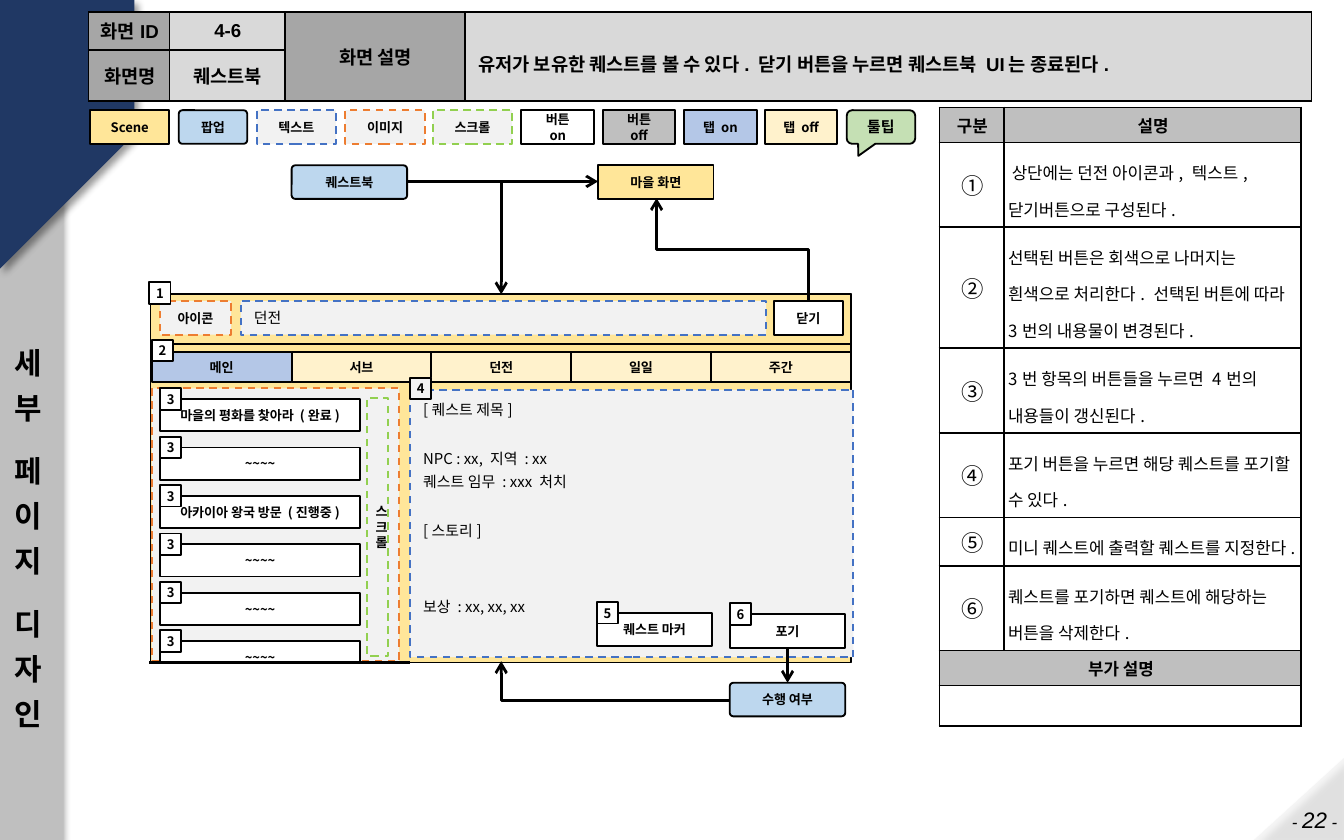
from lxml.etree import SubElement
from pptx import Presentation
from pptx.dml.color import RGBColor
from pptx.enum.dml import MSO_LINE
from pptx.enum.shapes import MSO_CONNECTOR, MSO_SHAPE
from pptx.enum.text import MSO_ANCHOR, PP_ALIGN
from pptx.oxml.ns import qn
from pptx.util import Inches, Pt

HUES = {
    "ink": "000000", "white": "FFFFFF", "pale": "F2F2F2", "light": "D9D9D9",
    "gray": "BFBFBF", "dark": "A6A6A6", "navy": "203864", "gold": "FFE699",
    "cream": "FFF2CC", "sky": "BDD7EE", "tab": "B4C7E7", "mint": "C5E0B4",
    "blue": "4472C4", "orange": "ED7D31", "green": "92D050",
}
KOREAN = "Noto Sans CJK KR"
RECT = MSO_SHAPE.RECTANGLE
ROUND = MSO_SHAPE.ROUNDED_RECTANGLE
LEFT, CENTER = PP_ALIGN.LEFT, PP_ALIGN.CENTER


class Deck:
    def __init__(self, slide):
        self.slide = slide
        self.shapes = slide.shapes

    def hue(self, name):
        return RGBColor.from_string(HUES[name])

    def paint(self, shape, fill, edge=None, dash=False):
        shape.shadow.inherit = False
        shape.fill.solid()
        shape.fill.fore_color.rgb = self.hue(fill)
        if edge:
            shape.line.color.rgb = self.hue(edge)
            shape.line.width = Pt(1)
            if dash:
                shape.line.dash_style = MSO_LINE.DASH
        else:
            shape.line.fill.background()

    def style(self, para, size, bold=True, face=KOREAN, align=CENTER, space=None):
        para.alignment = align
        if space:
            para.line_spacing = space
        font = para.font
        font.size, font.bold, font.name = Pt(size), bold, face
        font.color.rgb = self.hue("ink")
        SubElement(para._p.pPr.find(qn("a:defRPr")), qn("a:ea"), typeface=KOREAN)

    def inset(self, frame, left, top, right, low):
        frame.margin_left, frame.margin_top = Inches(left), Inches(top)
        frame.margin_right, frame.margin_bottom = Inches(right), Inches(low)

    def box(self, text, x, y, w, h, fill, edge="ink", kind=RECT, size=7,
            bold=True, align=CENTER, pad=None):
        shape = self.shapes.add_shape(kind, Inches(x), Inches(y), Inches(w), Inches(h))
        self.paint(shape, fill, edge, edge in ("blue", "orange", "green"))
        if kind == ROUND:
            shape.adjustments[0] = 0.11
        if text:
            frame = shape.text_frame
            frame.word_wrap = True
            frame.vertical_anchor = MSO_ANCHOR.MIDDLE
            if pad:
                self.inset(frame, *pad)
            frame.text = text
            self.style(frame.paragraphs[0], size, bold, align=align)
        return shape

    def badge(self, text, x, y, fill="white"):
        self.box(text, x, y, 0.16, 0.16, fill, pad=(0, 0, 0, 0))

    def item(self, mark, text, x, y, w, h=0.25):
        self.box(text, x, y, w, h, "white")
        self.badge(mark, x, y - 0.08)

    def shade(self, shape, angle):
        glow = shape._element.spPr.find(qn("a:effectLst"))
        cast = SubElement(glow, qn("a:outerShdw"), blurRad=str(Pt(4)),
                          dist=str(Pt(3)), dir=str(angle * 60000))
        tone = SubElement(cast, qn("a:srgbClr"), val=HUES["ink"])
        SubElement(tone, qn("a:alpha"), val="40000")

    def line(self, x1, y1, x2, y2, bend=None, turn=0, arrow=True):
        kind = MSO_CONNECTOR.ELBOW if bend else MSO_CONNECTOR.STRAIGHT
        link = self.shapes.add_connector(
            kind, Inches(x1), Inches(y1), Inches(x2), Inches(y2))
        link.line.color.rgb = self.hue("ink")
        link.line.width = Pt(1.5)
        props = link._element.spPr
        if bend:
            props.find(qn("a:prstGeom")).set("prst", bend)
        if turn:
            props.find(qn("a:xfrm")).set("rot", str(turn * 60000))
        if arrow:
            SubElement(props.find(qn("a:ln")), qn("a:tailEnd"), type="arrow")
        SubElement(props, qn("a:effectLst"))

    def note(self, x, y, w, h):
        shape = self.shapes.add_textbox(Inches(x), Inches(y), Inches(w), Inches(h))
        shape.text_frame.word_wrap = True
        return shape.text_frame

    def grid(self, x, y, cols, rows):
        frame = self.shapes.add_table(len(rows), len(cols), Inches(x), Inches(y),
                                      Inches(sum(cols)), Inches(sum(rows)))
        table = frame.table
        table.first_row = table.horz_banding = False
        for col, w in zip(table.columns, cols):
            col.width = Inches(w)
        for row, h in zip(table.rows, rows):
            row.height = Inches(h)
        for cell in table.iter_cells():
            props = cell._tc.get_or_add_tcPr()
            for side in ("lnL", "lnR", "lnT", "lnB"):
                edge = SubElement(props, qn("a:" + side), w=str(Pt(1)))
                fill = SubElement(edge, qn("a:solidFill"))
                SubElement(fill, qn("a:srgbClr"), val=HUES["ink"])
            cell.fill.background()
            self.inset(cell, 0, 0, 0, 0)
        return table

    def cell(self, cell, text, fill=None, side=0.04, **look):
        cell.text = text
        cell.vertical_anchor = MSO_ANCHOR.MIDDLE
        self.inset(cell, side, 0.04, 0.03, 0.04)
        if fill:
            cell.fill.solid()
            cell.fill.fore_color.rgb = self.hue(fill)
        self.style(cell.text_frame.paragraphs[0], **look)


def frame_page(deck):
    deck.shade(deck.box("", 0, 0, 0.47, 6.25, "gray", None), 90)
    fold = deck.box("", 9.36, 5.64, 0.61, 0.61, "pale", None, MSO_SHAPE.RIGHT_TRIANGLE)
    fold.left, fold.top, fold.height = Inches(9.36), Inches(5.61), Inches(0.67)
    fold.rotation = 270
    tone = fold._element.spPr.find(qn("a:solidFill"))[0]
    SubElement(tone, qn("a:alpha"), val="70000")
    deck.shade(fold, 45)
    pen = deck.shapes.build_freeform(0, 0, scale=Inches(1))
    pen.add_line_segments([(0, 1.62), (0.52, 1.38), (0.52, 0)], close=True)
    flag = pen.convert_to_shape()
    deck.paint(flag, "navy")
    deck.shade(flag, 45)

    frame = deck.note(8.9, 5.96, 1.05, 0.25)
    deck.inset(frame, 0, 0.04, 0, 0.04)
    para = frame.paragraphs[0]
    para.alignment = PP_ALIGN.RIGHT
    for text, size in (("- ", 9), ("22", 12), (" -", 9)):
        run = para.add_run()
        run.text = text
        run.font.size, run.font.italic, run.font.name = Pt(size), True, "Arial"
        run.font.color.rgb = deck.hue("ink")

    frame = deck.note(0.01, 1.69, 0.46, 4.56)
    frame.vertical_anchor = MSO_ANCHOR.MIDDLE
    frame.text = "세부\n페이지\n디자인"
    for i, para in enumerate(frame.paragraphs):
        deck.style(para, 16, face="Arial", align=LEFT, space=1.25)
        para.space_before = Pt(10 if i else 0)


def add_key(deck):
    for text, x, w, fill, edge, kind in (
            ("Scene", 0.67, 0.59, "gold", "ink", RECT),
            ("팝업", 1.33, 0.51, "sky", "ink", ROUND),
            ("텍스트", 1.91, 0.59, "pale", "blue", RECT),
            ("이미지", 2.57, 0.59, "pale", "orange", RECT),
            ("스크롤", 3.22, 0.59, "pale", "green", RECT),
            ("버튼 on", 3.88, 0.54, "white", "ink", RECT),
            ("버튼 off", 4.49, 0.53, "gray", "ink", RECT),
            ("탭 on", 5.09, 0.54, "tab", "ink", RECT),
            ("탭 off", 5.69, 0.54, "cream", "ink", RECT)):
        deck.box(text, x, 0.82, w, 0.25, fill, edge, kind)
    tip = deck.box("툴팁", 6.3, 0.82, 0.51, 0.25, "mint",
                   kind=MSO_SHAPE.ROUNDED_RECTANGULAR_CALLOUT, size=8)
    tip.adjustments[0], tip.adjustments[1] = -0.33, 0.86


def add_tables(deck):
    head = deck.grid(0.66, 0.09, [0.6, 0.86, 1.34, 6.3], [0.28, 0.38])
    for col in (2, 3):
        head.cell(0, col).merge(head.cell(1, col))
    look = {"size": 10, "face": "Arial"}
    for row, pair in enumerate((("화면ID", "4-6"), ("화면명", "퀘스트북"))):
        for col, (text, fill) in enumerate(zip(pair, ("dark", "light"))):
            deck.cell(head.cell(row, col), text, fill, **look)
    deck.cell(head.cell(0, 2), "화면 설명", "dark", **look)
    deck.cell(head.cell(0, 3),
              "유저가 보유한 퀘스트를 볼 수 있다. 닫기 버튼을 누르면 퀘스트북 UI는 종료된다.",
              "light", 0.1, align=LEFT, space=1.5, **look)

    info = deck.grid(6.99, 0.8, [0.48, 2.21],
                     [0.26, 0.63, 0.9, 0.63, 0.63, 0.36, 0.63, 0.26, 0.28])
    for col, text in enumerate(("구분", "설명")):
        deck.cell(info.cell(0, col), text, "gray", size=9)
    for row, (mark, text) in enumerate((
            ("①", " 상단에는 던전 아이콘과, 텍스트, 닫기버튼으로 구성된다."),
            ("②", "선택된 버튼은 회색으로 나머지는 흰색으로 처리한다. 선택된 버튼에 따라 3번의 내용물이 변경된다."),
            ("③", "3번 항목의 버튼들을 누르면 4번의 내용들이 갱신된다."),
            ("④", "포기 버튼을 누르면 해당 퀘스트를 포기할 수 있다."),
            ("⑤", "미니 퀘스트에 출력할 퀘스트를 지정한다."),
            ("⑥", "퀘스트를 포기하면 퀘스트에 해당하는 버튼을 삭제한다.")), 1):
        deck.cell(info.cell(row, 0), mark, size=12, bold=False)
        deck.cell(info.cell(row, 1), text, side=0.03, size=9, bold=False,
                  align=LEFT, space=1.5)
    for row in (7, 8):
        info.cell(row, 0).merge(info.cell(row, 1))
    deck.cell(info.cell(7, 0), "부가 설명", "gray", size=9)


def add_screen(deck):
    deck.box("", 1.12, 2.19, 5.21, 2.74, "gold")
    deck.line(3.03, 1.35, 3.73, 2.19, "bentConnector2")
    deck.box("마을 화면", 4.45, 1.23, 0.86, 0.25, "gold")
    deck.line(3.03, 1.35, 4.45, 1.35)
    deck.box("", 1.12, 2.19, 5.21, 0.37, "gold")
    deck.box("던전", 1.79, 2.24, 3.91, 0.25, "pale", "blue", size=8, bold=False, align=LEFT)
    deck.box("아이콘", 1.19, 2.24, 0.53, 0.25, "pale", "orange")
    deck.box("닫기", 5.76, 2.24, 0.51, 0.25, "white")
    deck.badge("1", 1.11, 2.1)
    for i, text in enumerate(("메인", "서브", "던전", "일일", "주간")):
        deck.box(text, 1.13 + 1.04 * i, 2.62, 1.04, 0.22, "cream" if i else "tab")
    deck.badge("2", 1.13, 2.53)

    deck.box("", 1.13, 2.89, 1.84, 2.03, "pale", "orange")
    wave = "~~~~"
    for i, text in enumerate(("마을의 평화를 찾아라 (완료)", wave,
                              "아카이아 왕국 방문 (진행중)", wave, wave, wave)):
        deck.item("3", text, 1.19, 2.97 + 0.36 * i, 1.49, 0.24)
    pane = deck.box("", 3.05, 2.9, 3.3, 1.99, "pale", "blue")
    frame = pane.text_frame
    frame.word_wrap = True
    frame.vertical_anchor = MSO_ANCHOR.TOP
    frame.text = "[퀘스트 제목]\nNPC : xx, 지역 : xx\n퀘스트 임무 : xxx 처치\n[스토리]\n보상 : xx, xx, xx"
    for para, gap in zip(frame.paragraphs, (0, 1, 0, 1, 2)):
        deck.style(para, 8, False, align=LEFT, space=1.25)
        para.space_before = Pt(14.4 * gap)
    deck.badge("4", 3.05, 2.81, "pale")
    deck.box("", 1, 4.94, 1.84, 0.25, "white", None)
    deck.line(3.05, 4.93, 1.11, 4.93, arrow=False)
    deck.box("수행 여부", 5.43, 5.08, 0.86, 0.25, "sky", kind=ROUND)
    deck.line(5.43, 5.21, 3.73, 4.92, "bentConnector2")
    deck.line(5.86, 4.82, 5.86, 5.08)
    deck.item("6", "포기", 5.43, 4.57, 0.86)
    deck.line(5.07, 2.42, 5.83, 1.29, "bentConnector3", 270)
    deck.box("퀘스트북", 2.17, 1.23, 0.86, 0.25, "sky", kind=ROUND)
    deck.box("스크롤", 2.73, 2.96, 0.16, 1.92, "pale", "green", pad=(0.06, 0, 0, 0))
    deck.item("5", "퀘스트 마커", 4.44, 4.56, 0.86)


def main():
    show = Presentation()
    show.slide_width, show.slide_height = Inches(10), Inches(6.25)
    deck = Deck(show.slides.add_slide(show.slide_layouts[6]))
    frame_page(deck)
    add_key(deck)
    add_tables(deck)
    add_screen(deck)
    show.save("out.pptx")


if __name__ == "__main__":
    main()
